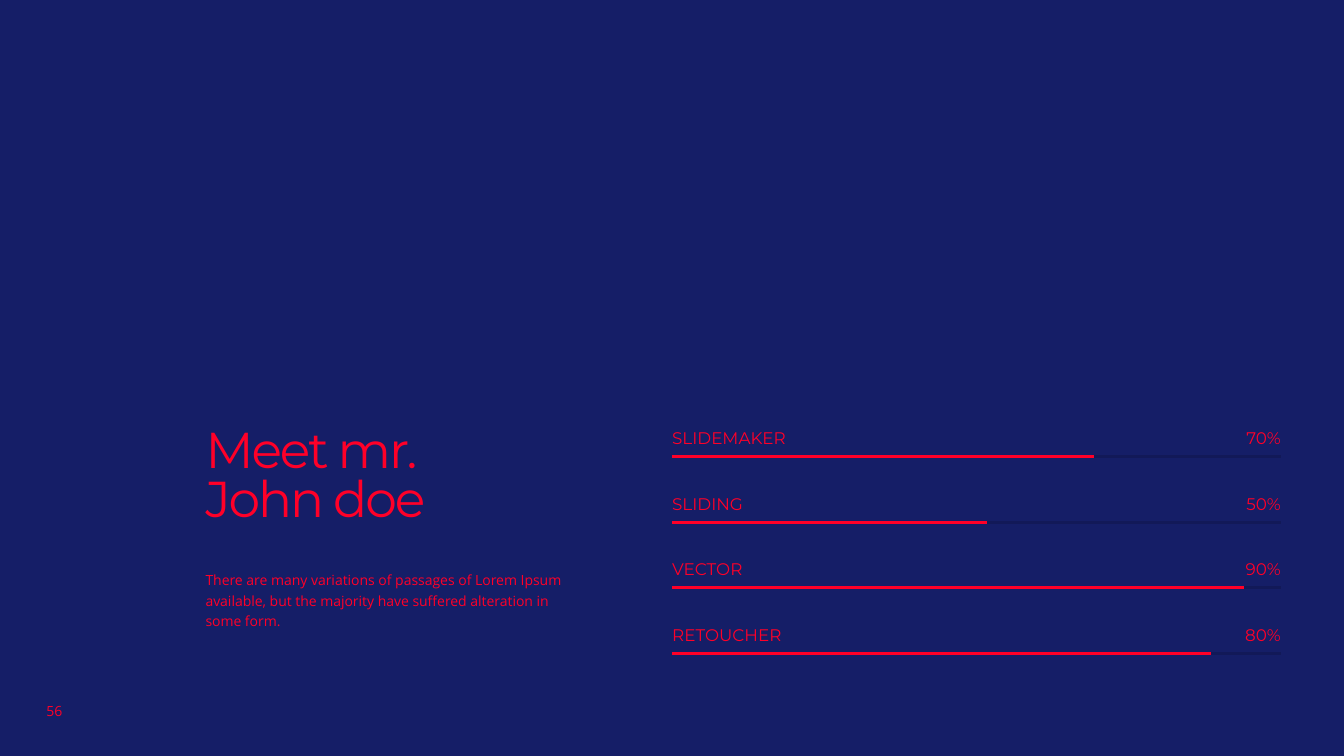
from lxml import etree
from pptx import Presentation
from pptx.dml.color import RGBColor
from pptx.enum import shapes, text
from pptx.oxml import ns
from pptx.util import Cm, Pt

COLORS = {"background": "151E67", "accent": "FF0028", "track": "121958"}
HEADING_FONT, BODY_FONT = "Montserrat", "Open Sans"

BAR_LEFT, BAR_RIGHT = 16.94, 32.28
LABEL_WIDTH = 7.06
FIRST_LABEL_TOP, SKILL_STEP = 10.8, 1.65
# Skill, value shown, length of the coloured bar in cm
SKILLS = [
    ("SLIDEMAKER", "70%", 10.64),
    ("SLIDING", "50%", 7.93),
    ("VECTOR", "90%", 14.4),
    ("RETOUCHER", "80%", 13.59),
]


def color(name):
    return RGBColor.from_string(COLORS[name])


def style_run(run, font, size):
    run.font.name = font
    run.font.size = Pt(size)
    run.font.color.rgb = color("accent")


def set_frame(frame, insets, anchor=text.MSO_ANCHOR.TOP):
    """Apply left, top, right and bottom insets in cm, with wrapping."""
    frame.margin_left, frame.margin_top, frame.margin_right, frame.margin_bottom = map(Cm, insets)
    frame.word_wrap = True
    frame.auto_size = text.MSO_AUTO_SIZE.NONE
    frame.vertical_anchor = anchor


def add_text(parent, box, wording, font, size, spacing=1.0,
             align=text.PP_ALIGN.LEFT, anchor=text.MSO_ANCHOR.TOP):
    frame = parent.add_textbox(*map(Cm, box)).text_frame
    set_frame(frame, (0, 0.13, 0, 0.13), anchor)
    paragraph = frame.paragraphs[0]
    paragraph.alignment = align
    paragraph.line_spacing = spacing
    run = paragraph.add_run()
    run.text = wording
    style_run(run, font, size)


def add_bar(parent, right, y, color_name):
    bar = parent.add_connector(shapes.MSO_CONNECTOR.STRAIGHT,
                               Cm(BAR_LEFT), Cm(y), Cm(right), Cm(y))
    bar.line.color.rgb = color(color_name)
    bar.line.width = Pt(2)
    etree.SubElement(bar._element.spPr, ns.qn("a:effectLst"))


def add_skill(slide, top, skill, value, length):
    group = slide.shapes.add_group_shape().shapes
    bar_y = top + 0.71
    add_bar(group, BAR_RIGHT, bar_y, "track")
    add_bar(group, BAR_LEFT + length, bar_y, "accent")
    add_text(group, (BAR_LEFT, top, LABEL_WIDTH, 0.66), skill, HEADING_FONT, 12, 0.7)
    add_text(group, (BAR_RIGHT - LABEL_WIDTH, top, LABEL_WIDTH, 0.66), value,
             HEADING_FONT, 12, 0.7, text.PP_ALIGN.RIGHT)


def fill_title(slide, lines):
    title = slide.shapes.title
    title.left, title.top, title.width, title.height = map(Cm, (5.18, 10.31, 11.73, 4.5))
    set_frame(title.text_frame, (0, 0.53, 0, 0))
    paragraph = title.text_frame.paragraphs[0]
    paragraph.alignment = text.PP_ALIGN.LEFT
    paragraph.line_spacing = 0.8
    for index, line in enumerate(lines):
        if index:
            paragraph.add_line_break()
        run = paragraph.add_run()
        run.text = line
        style_run(run, HEADING_FONT, 36)
        run.font._element.set("spc", "-150")


def main():
    deck = Presentation()
    deck.slide_width, deck.slide_height = Cm(33.87), Cm(19.05)
    slide = deck.slides.add_slide(deck.slide_layouts.get_by_name("Title Only"))
    slide.background.fill.solid()
    slide.background.fill.fore_color.rgb = color("background")

    add_text(slide.shapes, (0.66, 17.6, 1.42, 0.64), "56", BODY_FONT, 10,
             align=text.PP_ALIGN.CENTER, anchor=text.MSO_ANCHOR.MIDDLE)
    fill_title(slide, ["Meet mr.", "John doe"])
    add_text(slide.shapes, (5.18, 14.2, 8.99, 1.8),
             "There are many variations of passages of Lorem Ipsum available, "
             "but the majority have suffered alteration in some form.",
             BODY_FONT, 10, 1.2)
    for index, (skill, value, length) in enumerate(SKILLS):
        add_skill(slide, FIRST_LABEL_TOP + index * SKILL_STEP, skill, value, length)

    deck.save("out.pptx")


if __name__ == "__main__":
    main()
